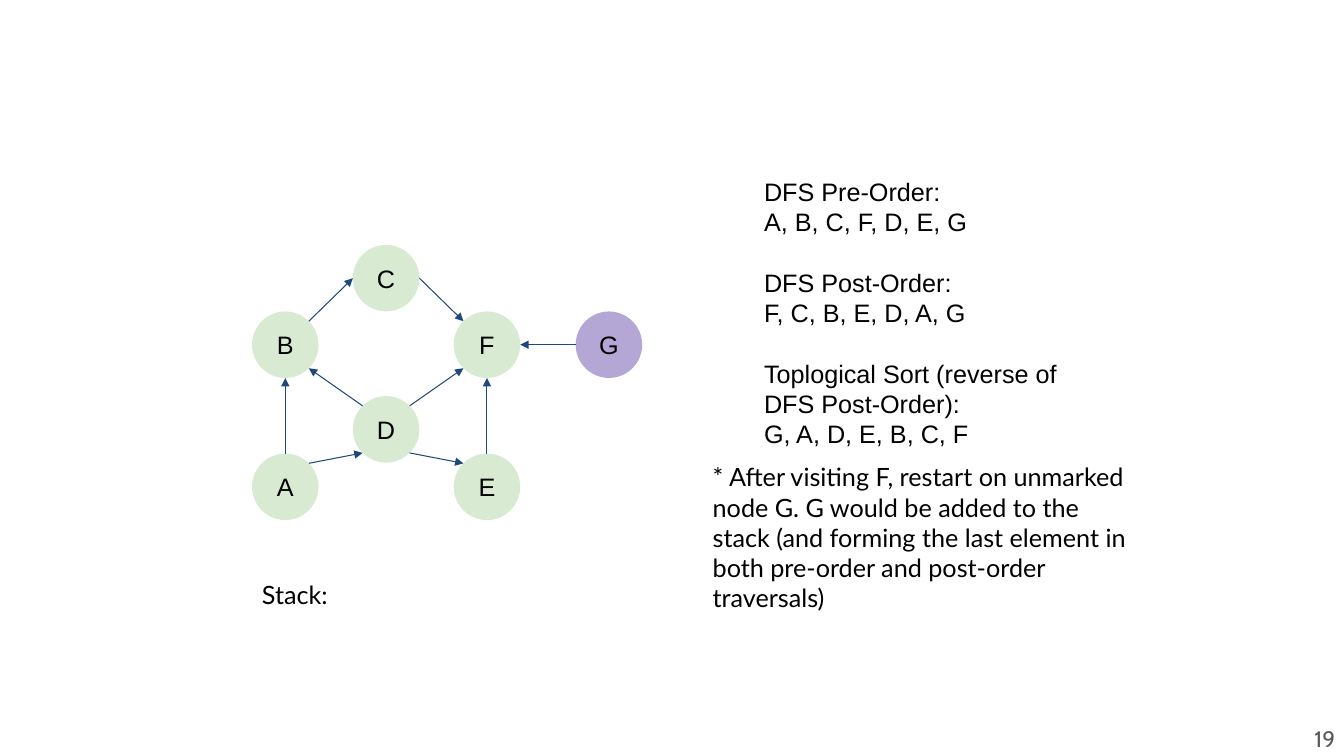
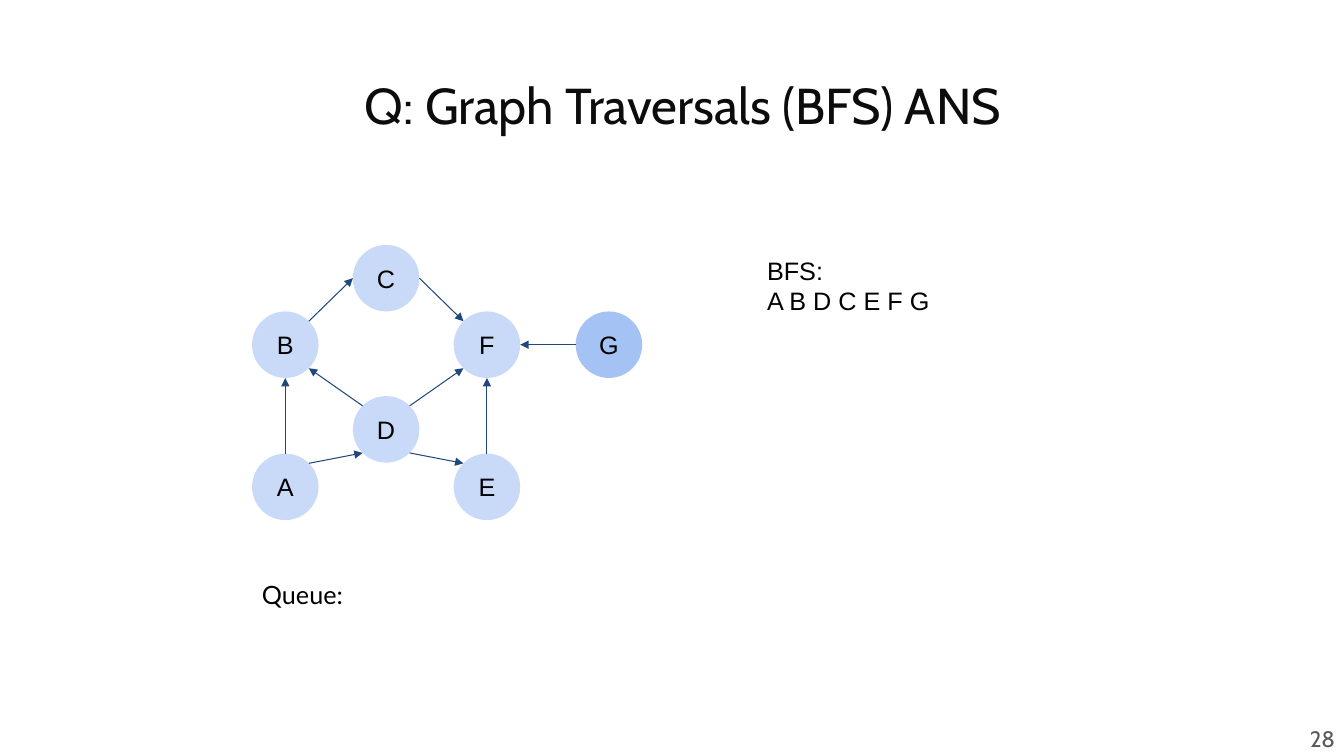
from math import cos, radians, sin

from lxml import etree
from pptx import Presentation
from pptx.dml.color import RGBColor
from pptx.enum.shapes import MSO_CONNECTOR, MSO_SHAPE
from pptx.enum.text import MSO_ANCHOR, PP_ALIGN
from pptx.oxml.ns import qn
from pptx.util import Inches, Pt

LEFT, CENTER, RIGHT = PP_ALIGN.LEFT, PP_ALIGN.CENTER, PP_ALIGN.RIGHT
TOP, MIDDLE = MSO_ANCHOR.TOP, MSO_ANCHOR.MIDDLE
OVAL, STRAIGHT = MSO_SHAPE.OVAL, MSO_CONNECTOR.STRAIGHT

COLORS = {
    "ink": "000000", "title": "0C0C0C", "page": "595959", "edge": "1F497D",
    "green": "D9EAD3", "purple": "B4A7D6", "pale": "C9DAF8", "blue": "A4C2F4",
}
HEAD, BODY, PLAIN = "Cabin", "Lato", "Arial"
LEAD = 21.6  # line pitch of the answers, in points

# Graph: node centres relative to the graph box, and edges by rim angle
RAD = 0.33
NODES = {
    "A": (0.33, 2.4), "B": (0.33, 0.99), "C": (1.33, 0.33), "D": (1.33, 1.83),
    "E": (2.33, 2.4), "F": (2.33, 0.99), "G": (3.54, 0.99),
}
# Angles run clockwise from the right
EDGES = [
    ("A", 270, "B", 90), ("A", 315, "D", 135), ("D", 225, "B", 45),
    ("B", 315, "C", 180), ("D", 315, "F", 135), ("D", 45, "E", 225),
    ("E", 270, "F", 90), ("C", 0, "F", 225), ("G", 180, "F", 0),
]


def color(name):
    return RGBColor.from_string(COLORS[name])


def write(shape, text, font=BODY, size=18, ink="ink", align=LEFT,
          anchor=TOP, lead=None, gaps=()):
    """Fill a shape with one paragraph a line; gaps lists those set apart."""
    frame = shape.text_frame
    frame.word_wrap = True
    frame.vertical_anchor = anchor
    frame.margin_left = frame.margin_right = Inches(0.1)
    frame.margin_top = frame.margin_bottom = Inches(0.1)
    for i, line in enumerate(text.split("\n")):
        para = frame.add_paragraph() if i else frame.paragraphs[0]
        para.alignment = align
        if lead:
            para.line_spacing = Pt(lead)
        if i in gaps:
            para.space_before = Pt(lead)
        run = para.add_run()
        run.text = line
        run.font.name, run.font.size = font, Pt(size)
        run.font.color.rgb = color(ink)


def label(slide, box, text, **style):
    write(slide.shapes.add_textbox(*map(Inches, box)), text, **style)


def rim(x, y, name, angle):
    """Point on the rim of a node."""
    cx, cy = NODES[name]
    turn = radians(angle)
    return Inches(x + cx + RAD * cos(turn)), Inches(y + cy + RAD * sin(turn))


def arrow(slide, start, end):
    line = slide.shapes.add_connector(STRAIGHT, *start, *end)
    line.line.color.rgb = color("edge")
    line.line.width = Pt(0.75)
    etree.SubElement(line.line._get_or_add_ln(), qn("a:tailEnd"),
                     type="triangle")
    etree.SubElement(line._element.spPr, qn("a:effectLst"))


def graph(slide, x, y, fill, last):
    # Nodes
    for name, (cx, cy) in NODES.items():
        node = slide.shapes.add_shape(
            OVAL, Inches(x + cx - RAD), Inches(y + cy - RAD),
            Inches(2 * RAD), Inches(2 * RAD))
        node.shadow.inherit = False
        node.fill.solid()
        node.fill.fore_color.rgb = color(last if name == "G" else fill)
        node.line.fill.background()
        write(node, name, font=PLAIN, align=CENTER, anchor=MIDDLE)
    # Edges
    for tail, out, head, into in EDGES:
        arrow(slide, rim(x, y, tail, out), rim(x, y, head, into))


def base(deck, page, fill, last, store):
    """Slide with the graph, the store label below it and the page number."""
    slide = deck.slides.add_slide(deck.slide_layouts[6])
    graph(slide, 2.5, 2.43, fill, last)
    label(slide, (2.5, 5.65, 8.02, 0.5), store)
    label(slide, (12.76, 7.1, 0.58, 0.46), str(page), font=HEAD, size=16,
          ink="page", align=RIGHT, anchor=MIDDLE)
    return slide


def depth(deck):
    slide = base(deck, 19, "green", "purple", "Stack:")
    # Orders
    label(slide, (7.48, 1.65, 3.46, 2.93),
          "DFS Pre-Order:\nA, B, C, F, D, E, G\n"
          "DFS Post-Order:\nF, C, B, E, D, A, G\n"
          "Toplogical Sort (reverse of DFS Post-Order):\n"
          "G, A, D, E, B, C, F",
          font=PLAIN, lead=LEAD, gaps=(2, 4))
    # Remark
    label(slide, (6.97, 4.48, 4.35, 1.41),
          "* After visiting F, restart on unmarked node G. G would be added "
          "to the stack (and forming the last element in both pre-order and "
          "post-order traversals)")


def breadth(deck):
    slide = base(deck, 28, "pale", "blue", "Queue:")
    label(slide, (1.49, 0.64, 10.57, 0.84), "Q: Graph Traversals (BFS) ANS",
          font=HEAD, size=36, ink="title", align=CENTER)
    # Order
    label(slide, (7.51, 2.43, 2.43, 1.11), "BFS:\nA B D C E F G",
          font=PLAIN, lead=LEAD)


def main():
    deck = Presentation()
    deck.slide_width, deck.slide_height = Inches(13.33), Inches(7.5)
    depth(deck)
    breadth(deck)
    deck.save("out.pptx")


if __name__ == "__main__":
    main()
